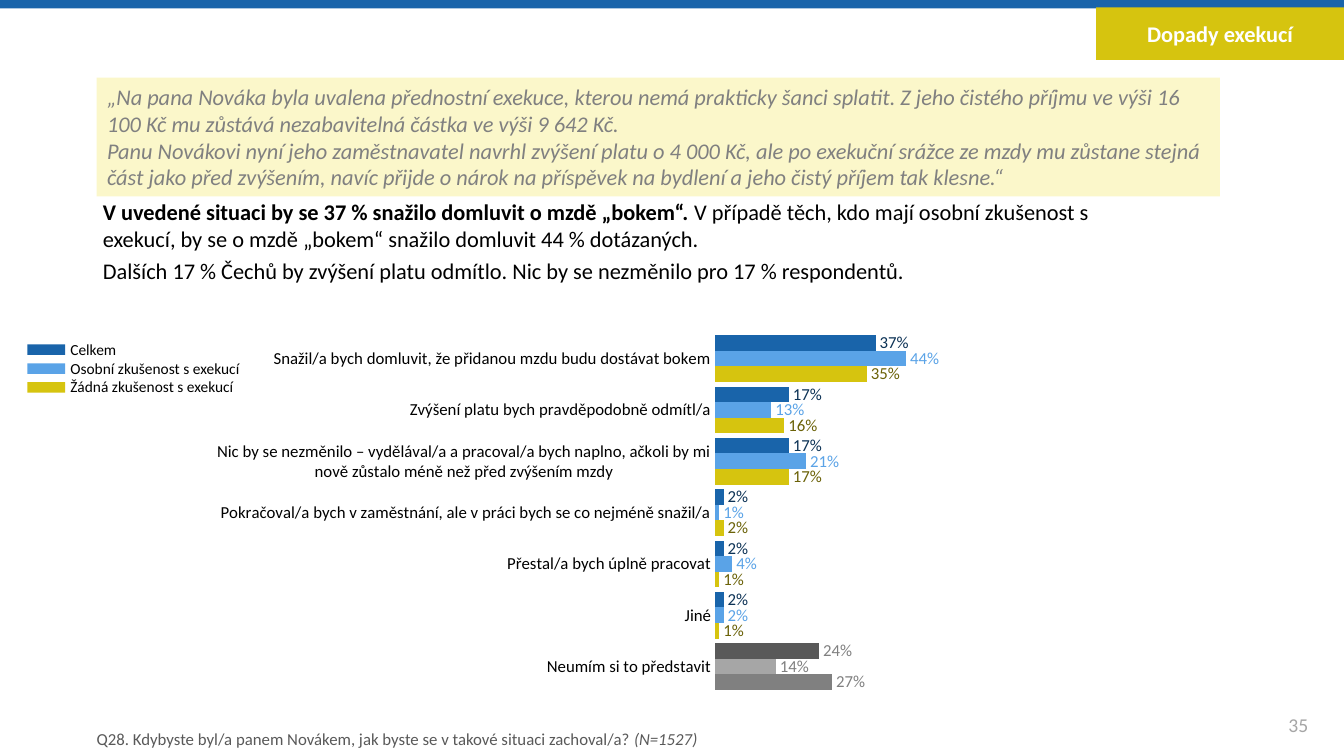
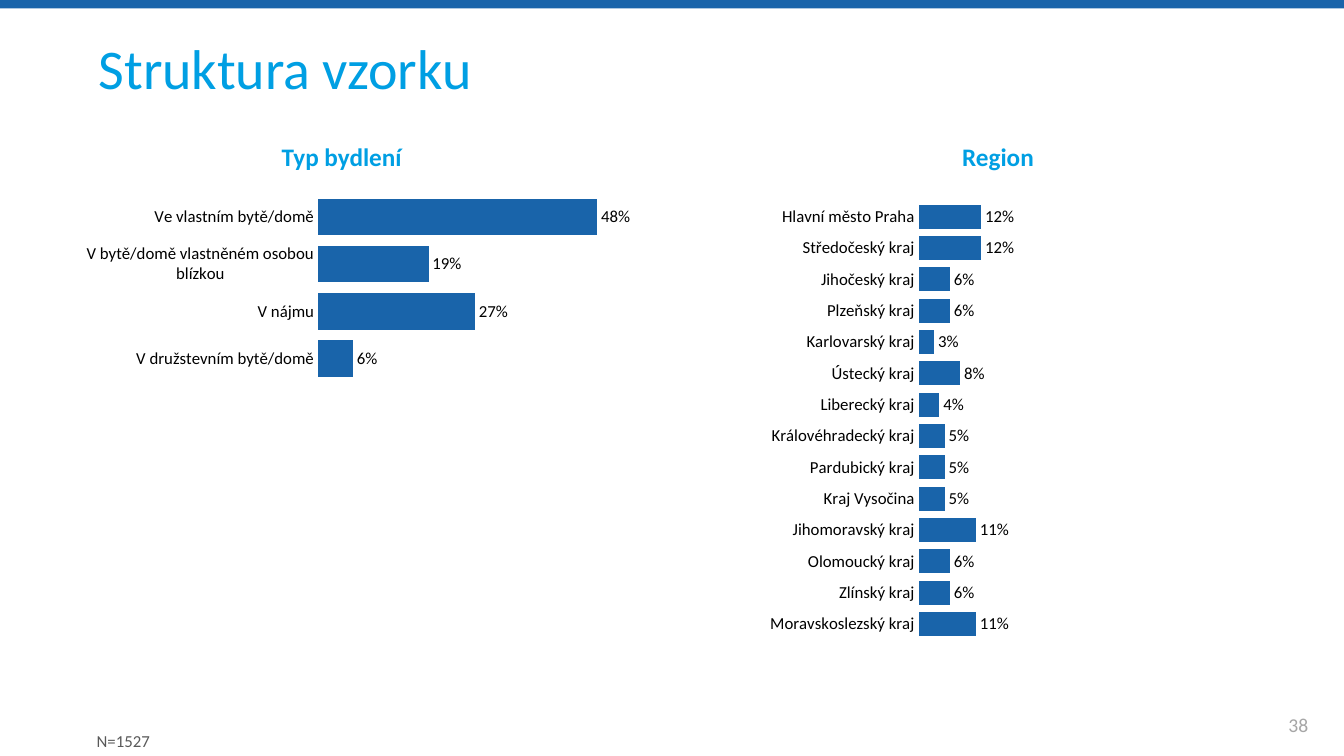
from dataclasses import dataclass

from lxml import etree
from pptx import Presentation, util as u
from pptx.chart.data import CategoryChartData
from pptx.dml.color import RGBColor
from pptx.enum import chart as ch, shapes, text
from pptx.oxml import ns


@dataclass(frozen=True)
class Theme:
    font: str = "Calibri"
    # Colours
    blue: str = "1964AA"
    sky: str = "5AA3E7"
    gold: str = "D6C40F"
    cream: str = "FBF7CA"
    cyan: str = "009FE3"
    navy: str = "0C3255"
    olive: str = "6B6208"
    black: str = "000000"
    white: str = "FFFFFF"
    coal: str = "595959"
    grey: str = "808080"
    ash: str = "A6A6A6"
    # Type sizes
    title: int = 40
    head: int = 18
    body: int = 16
    page: int = 14
    small: int = 12
    key: int = 11


T = Theme()
LEFT, MID = text.PP_ALIGN.LEFT, text.PP_ALIGN.CENTER
TOP, CENTRE = text.MSO_ANCHOR.TOP, text.MSO_ANCHOR.MIDDLE
PAD = (10, 5, 10, 5)
EDGE = 94  # left inset of title and body

ANSWERS = (
    "Snažil/a bych domluvit, že přidanou mzdu budu dostávat bokem",
    "Zvýšení platu bych pravděpodobně odmítl/a",
    "Nic by se nezměnilo – vydělával/a a pracoval/a bych naplno, ačkoli by mi "
    "nově zůstalo méně než před zvýšením mzdy",
    "Pokračoval/a bych v zaměstnání, ale v práci bych se co nejméně snažil/a",
    "Přestal/a bych úplně pracovat",
    "Jiné",
    "Neumím si to představit",
)
# Name, bar colour, label colour, bar colour of "don't know", values in %
GROUPS = (
    ("Celkem", T.blue, T.navy, T.coal, (37, 17, 17, 2, 2, 2, 24)),
    ("Osobní zkušenost s exekucí", T.sky, T.sky, T.ash, (44, 13, 21, 1, 4, 2, 14)),
    ("Žádná zkušenost s exekucí", T.gold, T.olive, T.grey, (35, 16, 17, 2, 1, 1, 27)),
)
HOMES = {
    "Ve vlastním bytě/domě": 48,
    "V bytě/domě vlastněném osobou blízkou": 19,
    "V nájmu": 27,
    "V družstevním bytě/domě": 6,
}
REGIONS = {
    "Hlavní město Praha": 12,
    "Středočeský kraj": 12,
    "Jihočeský kraj": 6,
    "Plzeňský kraj": 6,
    "Karlovarský kraj": 3,
    "Ústecký kraj": 8,
    "Liberecký kraj": 4,
    "Královéhradecký kraj": 5,
    "Pardubický kraj": 5,
    "Kraj Vysočina": 5,
    "Jihomoravský kraj": 11,
    "Olomoucký kraj": 6,
    "Zlínský kraj": 6,
    "Moravskoslezský kraj": 11,
}


# Basics
def px(n):
    return u.Emu(n * 9525)


def area(box):
    return [px(n) for n in box]


def rgb(code):
    return RGBColor.from_string(code)


def paint(shape, color):
    shape.fill.solid()
    shape.fill.fore_color.rgb = rgb(color)
    shape.line.fill.background()


def style(font, size, color):
    font.name, font.size = T.font, u.Pt(size)
    font.color.rgb = rgb(color)


# Text: each line is a string or a list of (string, flags), flags "b" and "i"
def write(shape, lines, size, color, flags="", align=LEFT, anchor=TOP, pad=PAD):
    frame = shape.text_frame
    frame.word_wrap = True
    frame.auto_size = text.MSO_AUTO_SIZE.NONE
    frame.vertical_anchor = anchor
    (frame.margin_left, frame.margin_top,
     frame.margin_right, frame.margin_bottom) = area(pad)
    for i, line in enumerate(lines):
        para = frame.add_paragraph() if i else frame.paragraphs[0]
        para.alignment = align
        for words, marks in [(line, flags)] if isinstance(line, str) else line:
            run = para.add_run()
            run.text = words
            style(run.font, size, color)
            run.font.bold, run.font.italic = "b" in marks, "i" in marks


def label(slide, box, lines, size, color, **look):
    write(slide.shapes.add_textbox(*area(box)), lines, size, color, **look)


def block(slide, box, color):
    shape = slide.shapes.add_shape(shapes.MSO_SHAPE.RECTANGLE, *area(box))
    shape.shadow.inherit = False
    paint(shape, color)
    return shape


def place(shape, box):
    shape.left, shape.top, shape.width, shape.height = area(box)
    return shape


def plain(shape):
    """Take bullets and indents off a list placeholder."""
    for para in shape.text_frame.paragraphs:
        props = para._p.get_or_add_pPr()
        props.set("marL", "0")
        props.set("indent", "0")
        etree.SubElement(props, ns.qn("a:buNone"))


# Shared parts
def band(deck, slide):
    """Put the top band on the master, behind all slides."""
    strip = block(slide, (0, 0, 1280, 8), T.blue)
    deck.slide_master.shapes.element.append(strip.element)


def foot(slide, page, note, top):
    label(slide, (1194, 671, 85, 38), [page], T.page, T.ash, align=MID, anchor=CENTRE)
    label(slide, (92, top, 966, 30), [note], T.small, T.coal,
          anchor=CENTRE, pad=(0, 0, 0, 0))


# Charts
def inner(chart, left, width):
    """Fix the plot area, as shares of the chart."""
    plot = chart.element.xpath(".//c:plotArea")[0]
    for old in plot.findall(ns.qn("c:layout")):
        plot.remove(old)
    layout = etree.Element(ns.qn("c:layout"))
    manual = etree.SubElement(layout, ns.qn("c:manualLayout"))
    for tag, val in (("layoutTarget", "inner"), ("xMode", "edge"), ("yMode", "edge"),
                     ("x", left), ("y", 0.03), ("w", width), ("h", 0.92)):
        etree.SubElement(manual, ns.qn("c:" + tag)).set("val", str(val))
    plot.insert(0, layout)


def bars(slide, box, cats, rows, top, left, width):
    """Draw bars; rows hold name, bar colour, label colour and values in %."""
    data = CategoryChartData(number_format="0%")
    data.categories = cats
    for name, _, _, vals in rows:
        data.add_series(name, [v / 100 for v in vals])
    chart = slide.shapes.add_chart(
        ch.XL_CHART_TYPE.BAR_CLUSTERED, *area(box), data).chart
    chart.has_title = chart.has_legend = False
    style(chart.font, T.small, T.black)
    inner(chart, left, width)

    axis = chart.category_axis
    axis.reverse_order = True
    axis.major_tick_mark = ch.XL_TICK_MARK.NONE
    axis.format.line.fill.background()
    scale = chart.value_axis
    scale.visible = scale.has_major_gridlines = False
    scale.minimum_scale, scale.maximum_scale = 0, top

    plot = chart.plots[0]
    plot.gap_width, plot.vary_by_categories = 30, False
    for series, (_, fill, ink, _) in zip(plot.series, rows):
        series.format.fill.solid()
        series.format.fill.fore_color.rgb = rgb(fill)
        tags = series.data_labels
        tags.show_value = True
        tags.number_format, tags.number_format_is_linked = "0%", False
        tags.position = ch.XL_LABEL_POSITION.OUTSIDE_END
        style(tags.font, T.small, ink)
    return chart


def mute(series, spot, color):
    """Grey out one bar and its label."""
    point = series.points[spot]
    point.format.fill.solid()
    point.format.fill.fore_color.rgb = rgb(color)
    style(point.data_label.font, T.small, T.grey)
    point.data_label.position = ch.XL_LABEL_POSITION.OUTSIDE_END


def legend(slide):
    for i, (_, color, *_) in enumerate(GROUPS):
        block(slide, (26, 328 + 18 * i, 36, 10), color)
    label(slide, (57, 319, 223, 63), [g[0] for g in GROUPS], T.key, T.black)


# Slides
def impact(deck):
    slide = deck.slides.add_slide(deck.slide_layouts[1])
    band(deck, slide)
    tab = place(slide.shapes.title, (1044, 7, 236, 50))
    paint(tab, T.gold)
    write(tab, ["Dopady exekucí"], T.body, T.white, "b", MID, CENTRE)

    body = place(slide.placeholders[1], (4, 189, 1163, 88))
    write(body, [
        [("V uvedené situaci by se 37 % snažilo domluvit o mzdě „bokem“. ", "b"),
         ("V případě těch, kdo mají osobní zkušenost s exekucí, by se o mzdě "
          "„bokem“ snažilo domluvit 44 % dotázaných.", "")],
        "Dalších 17 % Čechů by zvýšení platu odmítlo. "
        "Nic by se nezměnilo pro 17 % respondentů.",
    ], T.body, T.black, pad=(EDGE, 0, EDGE, 0))
    plain(body)

    write(block(slide, (92, 74, 1070, 113), T.cream), [
        "„Na pana Nováka byla uvalena přednostní exekuce, kterou nemá prakticky šanci "
        "splatit. Z jeho čistého příjmu ve výši 16 100 Kč mu zůstává nezabavitelná "
        "částka ve výši 9 642 Kč.",
        "Panu Novákovi nyní jeho zaměstnavatel navrhl zvýšení platu o 4 000 Kč, ale po "
        "exekuční srážce ze mzdy mu zůstane stejná část jako před zvýšením, navíc "
        "přijde o nárok na příspěvek na bydlení a jeho čistý příjem tak klesne.“",
    ], T.body, T.grey, "i")

    rows = [(name, fill, ink, vals) for name, fill, ink, _, vals in GROUPS]
    chart = bars(slide, (200, 306, 962, 372), ANSWERS, rows, 1, 0.5, 0.43)
    for series, group in zip(chart.plots[0].series, GROUPS):
        mute(series, len(ANSWERS) - 1, group[3])
    legend(slide)
    foot(slide, "35", [
        ("Q28. Kdybyste byl/a panem Novákem, jak byste se v takové situaci "
         "zachoval/a? ", ""),
        ("(N=1527)", "i")], 689)


def sample(deck):
    slide = deck.slides.add_slide(deck.slide_layouts[5])
    title = place(slide.shapes.title, (0, 32, 1280, 64))
    write(title, ["Struktura vzorku"], T.title, T.cyan,
          anchor=CENTRE, pad=(EDGE, 0, 0, 0))
    for head, x, box, data, left, width in (
        ("Typ bydlení", 147, (60, 178, 565, 196), HOMES, 0.43, 0.49),
        ("Region", 772, (700, 178, 460, 454), REGIONS, 0.38, 0.54),
    ):
        label(slide, (x, 130, 357, 38), [head], T.head, T.cyan, flags="b", align=MID)
        rows = [(head, T.blue, T.black, data.values())]
        bars(slide, box, data.keys(), rows, 0.5, left, width)
    foot(slide, "38", "N=1527", 691)


def main():
    deck = Presentation()
    deck.slide_width, deck.slide_height = px(1280), px(720)
    impact(deck)
    sample(deck)
    deck.save("out.pptx")


if __name__ == "__main__":
    main()
